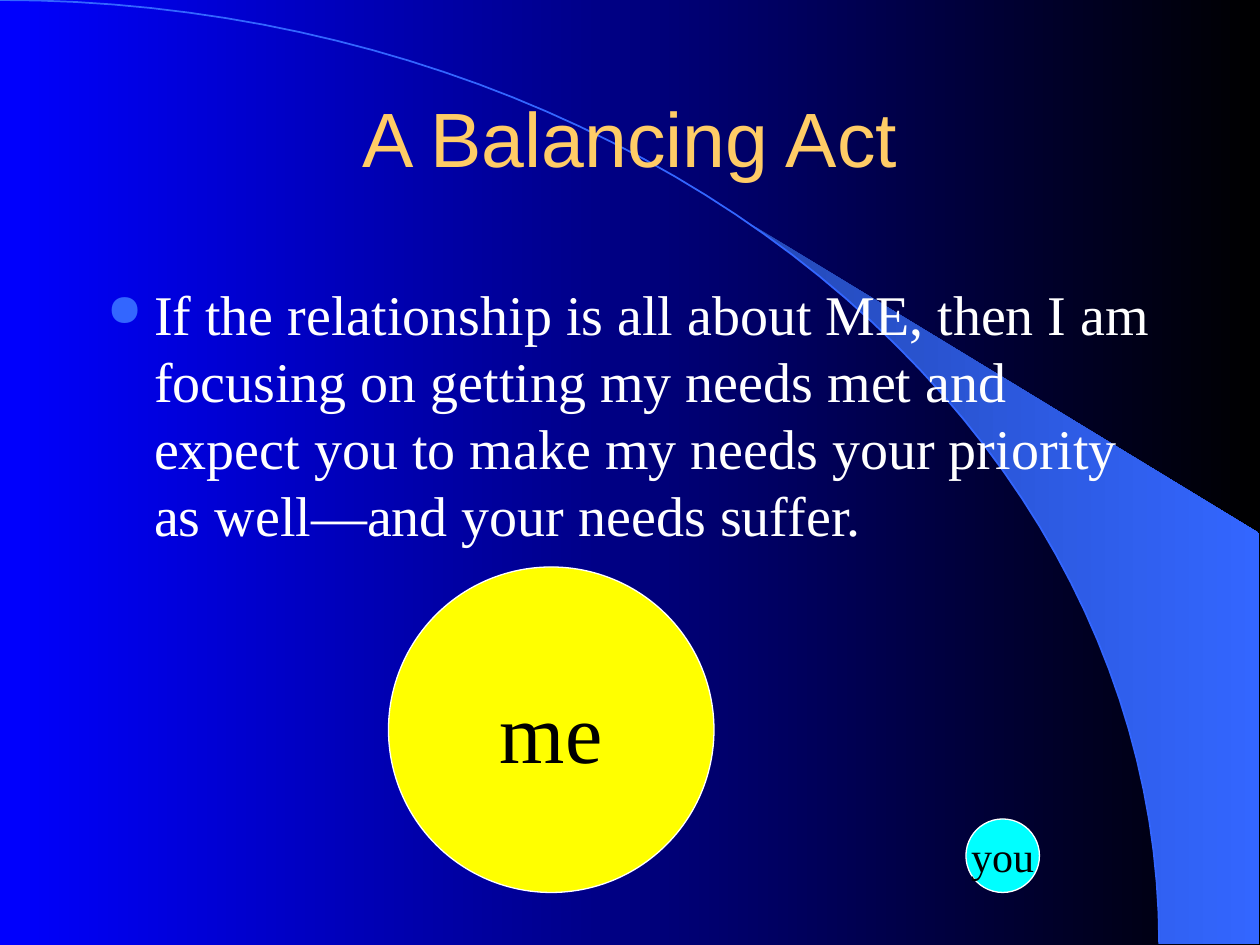
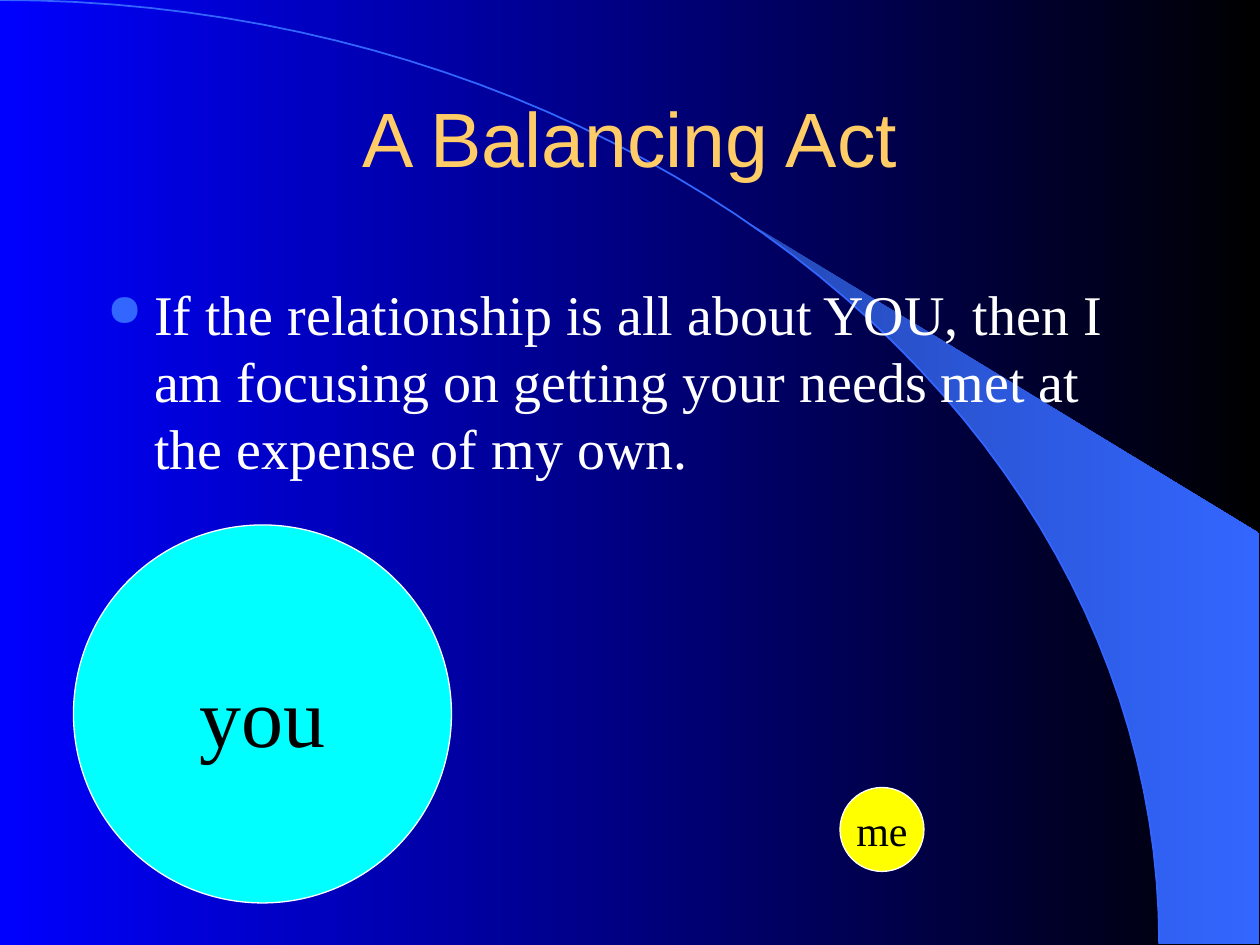
from math import asin, cos, pi, sin

from lxml.etree import SubElement
from pptx import Presentation
from pptx.dml.color import RGBColor
from pptx.enum.shapes import MSO_SHAPE
from pptx.enum.text import MSO_ANCHOR as ANCHOR, PP_ALIGN as ALIGN
from pptx.oxml.ns import qn
from pptx.util import Pt

TITLE = "A Balancing Act"
# Circles: word, colour, left, top, diameter, text size
SLIDES = [
    {
        "body": "If the relationship is all about ME, then I am focusing on getting "
                "my needs met and expect you to make my needs your priority as "
                "well—and your needs suffer.",
        "circles": [("me", "yellow", 222, 324, 186, 48),
                    ("you", "cyan", 552, 468, 42, 24)],
    },
    {
        "body": "If the relationship is all about YOU, then I am focusing on getting "
                "your needs met at the expense of my own.",
        "circles": [("you", "cyan", 42, 300, 216, 48),
                    ("me", "yellow", 480, 450, 48, 24)],
    },
]

COLORS = {
    "blue": "0000FF", "black": "000000", "white": "FFFFFF", "gold": "FFCC66",
    "yellow": "FFFF00", "cyan": "00FFFF", "arc": "3366FF", "band_dark": "2449B6",
}
SERIF = "Times New Roman"
TITLE_FONT = {"name": "Arial", "size": Pt(44), "color": "gold"}
BODY_FONT = {"name": SERIF, "size": Pt(32), "color": "white"}

WIDTH, HEIGHT = 720, 540
TITLE_BOX = (54, 48, 612, 90)
BODY_BOX = (54, 156, 612, 324)
BULLET_INDENT = 27
ARC_WIDTH, ARC_HEIGHT = 662.4, 539.3
BAND_START = 424
BAND_CORNERS = [(719.3, 539.3), (719.3, 304.6)]
ARC_STEPS = 48


def rgb(name):
    return RGBColor.from_string(COLORS[name])


def place(shape, box):
    for side, value in zip(("left", "top", "width", "height"), box):
        setattr(shape, side, Pt(value))


def write(shape, text, font, align, anchor):
    frame = shape.text_frame
    frame.vertical_anchor = anchor
    paragraph = frame.paragraphs[0]
    paragraph.alignment = align
    run = paragraph.add_run()
    run.text = text
    for key, value in font.items():
        if key == "color":
            run.font.color.rgb = rgb(value)
        else:
            setattr(run.font, key, value)
    return paragraph


def fill_gradient(fill, *names):
    fill.gradient()
    fill.gradient_angle = 0
    for stop, position, name in zip(fill.gradient_stops, (0, 1), names):
        stop.position = position
        stop.color.rgb = rgb(name)


def arc_points(start_angle):
    """Points of the quarter ellipse from start_angle down to the slide's foot."""
    step = (pi / 2 - start_angle) / ARC_STEPS
    angles = [start_angle + step * index for index in range(ARC_STEPS + 1)]
    return [(ARC_WIDTH * sin(angle), ARC_HEIGHT * (1 - cos(angle)))
            for angle in angles]


def add_outline(slide, points, close):
    """Draw a freeform behind the title."""
    points = [(Pt(x), Pt(y)) for x, y in points]
    builder = slide.shapes.build_freeform(*points[0], scale=1.0)
    builder.add_line_segments(points[1:], close=close)
    shape = builder.convert_to_shape()
    shape.shadow.inherit = False
    slide.shapes.title.element.addprevious(shape.element)
    return shape


def add_backdrop(slide):
    band_points = arc_points(asin(BAND_START / ARC_WIDTH)) + BAND_CORNERS
    band = add_outline(slide, band_points, close=True)
    fill_gradient(band.fill, "band_dark", "arc")
    band.line.fill.background()
    arc = add_outline(slide, arc_points(0), close=False)
    arc.fill.background()
    arc.line.color.rgb = rgb("arc")
    arc.line.width = Pt(1)


def add_bullet(paragraph):
    paragraph.space_before = Pt(6.4)
    properties = paragraph._p.get_or_add_pPr()
    properties.set("marL", str(Pt(BULLET_INDENT)))
    properties.set("indent", str(-Pt(BULLET_INDENT)))
    color = SubElement(properties, qn("a:buClr"))
    SubElement(color, qn("a:srgbClr"), val=COLORS["arc"])
    SubElement(properties, qn("a:buSzPct"), val="80000")
    SubElement(properties, qn("a:buChar"), char="●")


def add_body(slide, text):
    body = slide.shapes.add_textbox(*map(Pt, BODY_BOX))
    body.text_frame.word_wrap = True
    add_bullet(write(body, text, BODY_FONT, ALIGN.LEFT, ANCHOR.TOP))


def add_circle(slide, word, color, left, top, diameter, size):
    circle = slide.shapes.add_shape(
        MSO_SHAPE.OVAL, *map(Pt, (left, top, diameter, diameter)))
    circle.shadow.inherit = False
    circle.fill.solid()
    circle.fill.fore_color.rgb = rgb(color)
    circle.line.color.rgb = rgb("white")
    circle.line.width = Pt(0.75)
    circle.text_frame.word_wrap = False
    font = {"name": SERIF, "size": Pt(size), "color": "black"}
    write(circle, word, font, ALIGN.CENTER, ANCHOR.MIDDLE)


def main():
    presentation = Presentation()
    presentation.slide_width, presentation.slide_height = Pt(WIDTH), Pt(HEIGHT)
    fill_gradient(presentation.slide_master.background.fill, "blue", "black")
    title_only = presentation.slide_layouts.get_by_name("Title Only")
    for content in SLIDES:
        slide = presentation.slides.add_slide(title_only)
        add_backdrop(slide)
        place(slide.shapes.title, TITLE_BOX)
        write(slide.shapes.title, TITLE, TITLE_FONT, ALIGN.CENTER, ANCHOR.TOP)
        add_body(slide, content["body"])
        for circle in content["circles"]:
            add_circle(slide, *circle)
    presentation.save("out.pptx")


if __name__ == "__main__":
    main()
